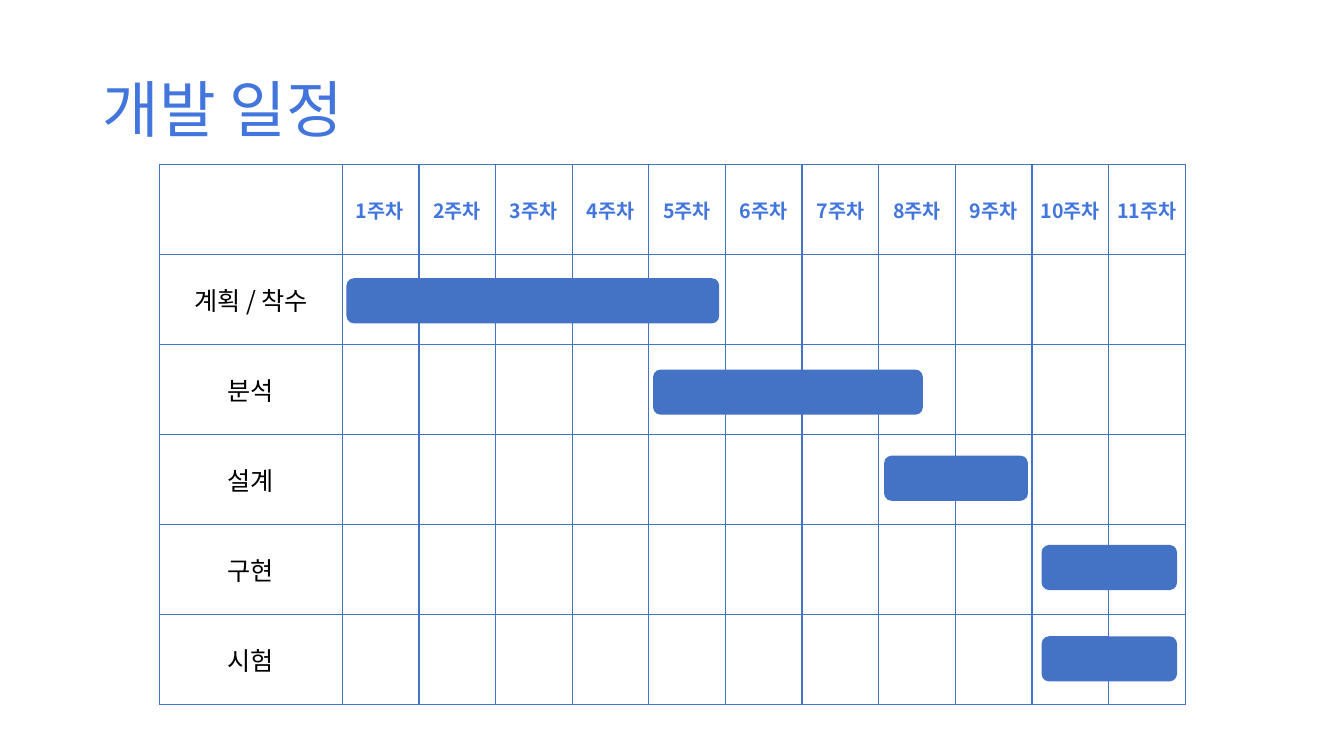
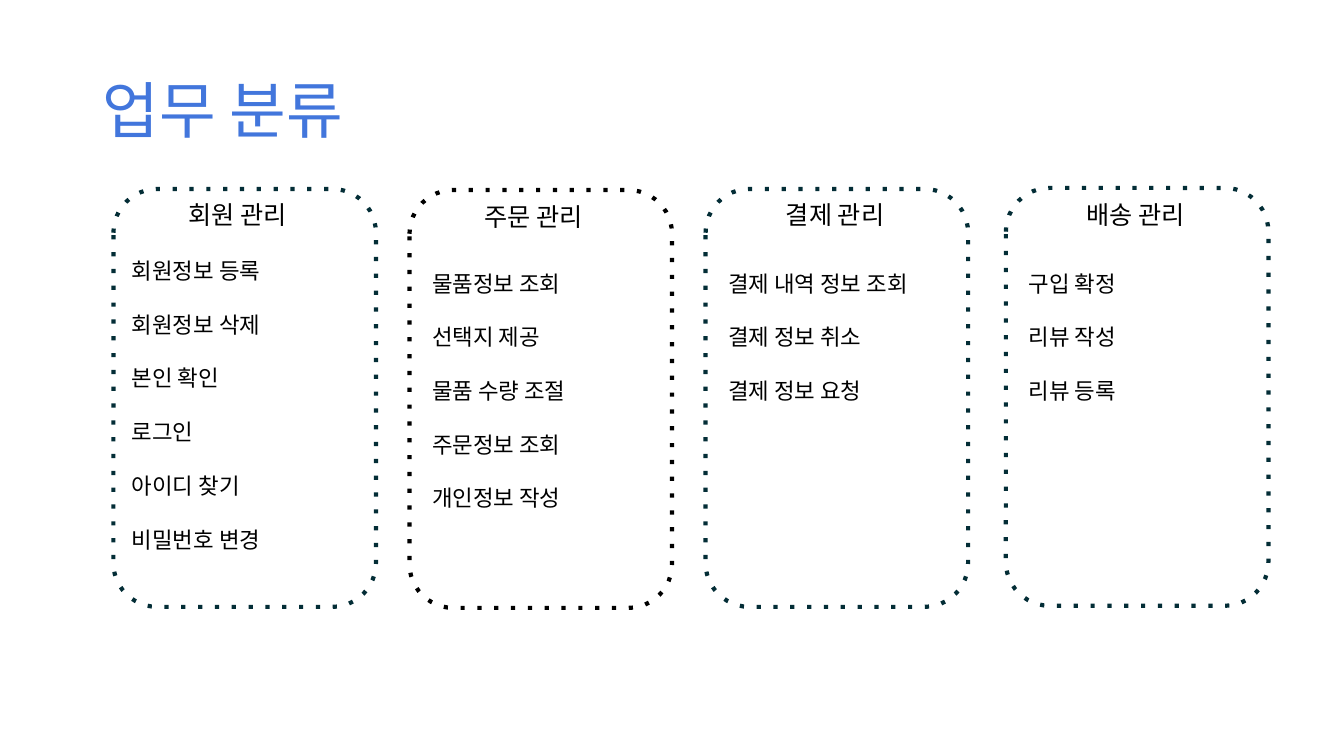
from dataclasses import dataclass

from lxml import etree
from pptx import Presentation
from pptx.dml.color import RGBColor
from pptx.enum.shapes import MSO_SHAPE
from pptx.enum.text import MSO_ANCHOR, MSO_AUTO_SIZE, PP_ALIGN
from pptx.oxml.ns import qn
from pptx.util import Pt

# Shared style
PX = 9525
FONT = "Noto Sans CJK KR"
TITLE_BLUE = RGBColor(0x42, 0x76, 0xDC)
CHART_BLUE = RGBColor(0x44, 0x72, 0xC4)
DARK_TEAL = RGBColor(0x03, 0x2D, 0x36)
BLACK = RGBColor(0, 0, 0)
ROUNDED = MSO_SHAPE.ROUNDED_RECTANGLE
LEFT, CENTER = PP_ALIGN.LEFT, PP_ALIGN.CENTER
TOP, MIDDLE = MSO_ANCHOR.TOP, MSO_ANCHOR.MIDDLE
NO_FIT = MSO_AUTO_SIZE.NONE
TITLE_ONLY, FOUR_BODIES = 5, 4
CARD_WIDTH, CARD_HEIGHT = 250, 398


@dataclass(frozen=True)
class Bar:
    left: int
    top: int
    width: int


@dataclass(frozen=True)
class Card:
    left: int
    top: int
    heading: str
    heading_left: int
    heading_top: int
    list_left: int
    list_top: int
    tasks: tuple[str, ...]
    color: RGBColor = DARK_TEAL


WEEKS = 11
PHASES = ("계획 / 착수", "분석", "설계", "구현", "시험")
BARS = (
    Bar(330, 265, 355),
    Bar(622, 352, 257),
    Bar(842, 434, 137),
    Bar(992, 519, 129),
    Bar(992, 606, 129),
)
CARDS = (
    Card(108, 180, "회원 관리", 170, 185, 116, 240,
         ("회원정보 등록", "회원정보 삭제", "본인 확인", "로그인",
          "아이디 찾기", "비밀번호 변경")),
    Card(390, 181, "주문 관리", 452, 187, 402, 252,
         ("물품정보 조회", "선택지 제공", "물품 수량 조절",
          "주문정보 조회", "개인정보 작성"), BLACK),
    Card(672, 180, "결제 관리", 739, 185, 684, 252,
         ("결제 내역 정보 조회", "결제 정보 취소", "결제 정보 요청")),
    Card(958, 179, "배송 관리", 1025, 185, 970, 252,
         ("구입 확정", "리뷰 작성", "리뷰 등록")),
)


def place(box, left: int, top: int, width: int, height: int) -> None:
    box.left, box.top = left * PX, top * PX
    box.width, box.height = width * PX, height * PX


def format_text(para, size: int, color: RGBColor, align=LEFT,
                bold: bool = False) -> None:
    para.alignment = align
    for span in para.runs:
        font = span.font
        font.name, font.size, font.bold = FONT, Pt(size), bold
        font.color.rgb = color
        etree.SubElement(font._element, qn("a:ea"), typeface=FONT)


def add_page(deck, layout: int, title: str, title_top: int):
    page = deck.slides.add_slide(deck.slide_layouts[layout])
    box = page.shapes.title
    place(box, 88, title_top, 1104, 139)
    frame = box.text_frame
    frame.text = title
    frame.auto_size, frame.vertical_anchor = NO_FIT, MIDDLE
    frame.paragraphs[0].line_spacing = 0.9
    format_text(frame.paragraphs[0], 44, TITLE_BLUE)
    return page


def add_rounded(page, left: int, top: int, width: int, height: int):
    box = page.shapes.add_shape(ROUNDED, left * PX, top * PX, width * PX, height * PX)
    box.shadow.inherit = False
    return box


# Schedule table
def style_cell(cell) -> None:
    cell.fill.background()
    properties = cell._tc.get_or_add_tcPr()
    for index, side in enumerate(("lnL", "lnR", "lnT", "lnB")):
        border = etree.Element(qn(f"a:{side}"), w=str(Pt(1)))
        fill = etree.SubElement(border, qn("a:solidFill"))
        etree.SubElement(fill, qn("a:srgbClr"), val=str(CHART_BLUE))
        properties.insert(index, border)


def fill_cell(cell, text: str, margin: int, size: int, color: RGBColor,
              bold: bool) -> None:
    cell.text_frame.text = text
    cell.vertical_anchor = MIDDLE
    cell.margin_left = cell.margin_right = margin * PX
    cell.margin_top = cell.margin_bottom = margin * PX
    format_text(cell.text_frame.paragraphs[0], size, color, CENTER, bold)


def add_schedule(page) -> None:
    table = page.shapes.add_table(len(PHASES) + 1, WEEKS + 1, 152 * PX, 157 * PX,
                                  977 * PX, 514 * PX).table
    table.first_row = table.horz_banding = False
    for index, column in enumerate(table.columns):
        column.width = (73 if index else 174) * PX
    for cell in table.iter_cells():
        style_cell(cell)
    for week in range(1, WEEKS + 1):
        fill_cell(table.cell(0, week), f"{week}주차", 0, 14, TITLE_BLUE, True)
    first_week = table.cell(0, 1)
    first_week.margin_left = 13 * PX
    first_week.text_frame.paragraphs[0].alignment = LEFT
    for row, phase in enumerate(PHASES, start=1):
        fill_cell(table.cell(row, 0), phase, 5, 18, BLACK, False)


def add_bar(page, bar: Bar) -> None:
    box = add_rounded(page, bar.left, bar.top, bar.width, 43)
    box.fill.solid()
    box.fill.fore_color.rgb = CHART_BLUE
    box.line.fill.background()


# Task cards
def add_card(page, card: Card, body) -> None:
    outline = add_rounded(page, card.left, card.top, CARD_WIDTH, CARD_HEIGHT)
    outline.fill.background()
    outline.line.width = Pt(3)
    outline.line.color.rgb = card.color
    line = outline._element.spPr.find(qn("a:ln"))
    etree.SubElement(line, qn("a:prstDash"), val="dot")

    heading = page.shapes.add_textbox(card.heading_left * PX, card.heading_top * PX,
                                      116 * PX, 38 * PX)
    heading.text_frame.text = card.heading
    heading.text_frame.word_wrap = False
    para = heading.text_frame.paragraphs[0]
    para.line_spacing = Pt(21.6)
    format_text(para, 18, BLACK)

    place(body, card.list_left, card.list_top, 238, 294)
    frame = body.text_frame
    frame.text = "\n".join(card.tasks)
    frame.word_wrap, frame.auto_size, frame.vertical_anchor = True, NO_FIT, TOP
    for index, para in enumerate(frame.paragraphs):
        properties = para._p.get_or_add_pPr()
        properties.set("marL", "0")
        properties.set("indent", "0")
        etree.SubElement(properties, qn("a:buNone"))
        para.line_spacing = Pt(19.2)
        para.space_before = Pt(19.2 if index else 0)
        para.space_after = Pt(0)
        format_text(para, 16, BLACK)


def main() -> None:
    deck = Presentation()
    deck.slide_width, deck.slide_height = 1280 * PX, 720 * PX

    # Development schedule
    page = add_page(deck, TITLE_ONLY, "개발 일정", 38)
    add_schedule(page)
    for bar in BARS:
        add_bar(page, bar)

    # Task groups
    page = add_page(deck, FOUR_BODIES, "업무 분류", 39)
    bodies = list(page.placeholders)[1:]
    for card, body in zip(CARDS, bodies):
        add_card(page, card, body)

    deck.save("out.pptx")


if __name__ == "__main__":
    main()
